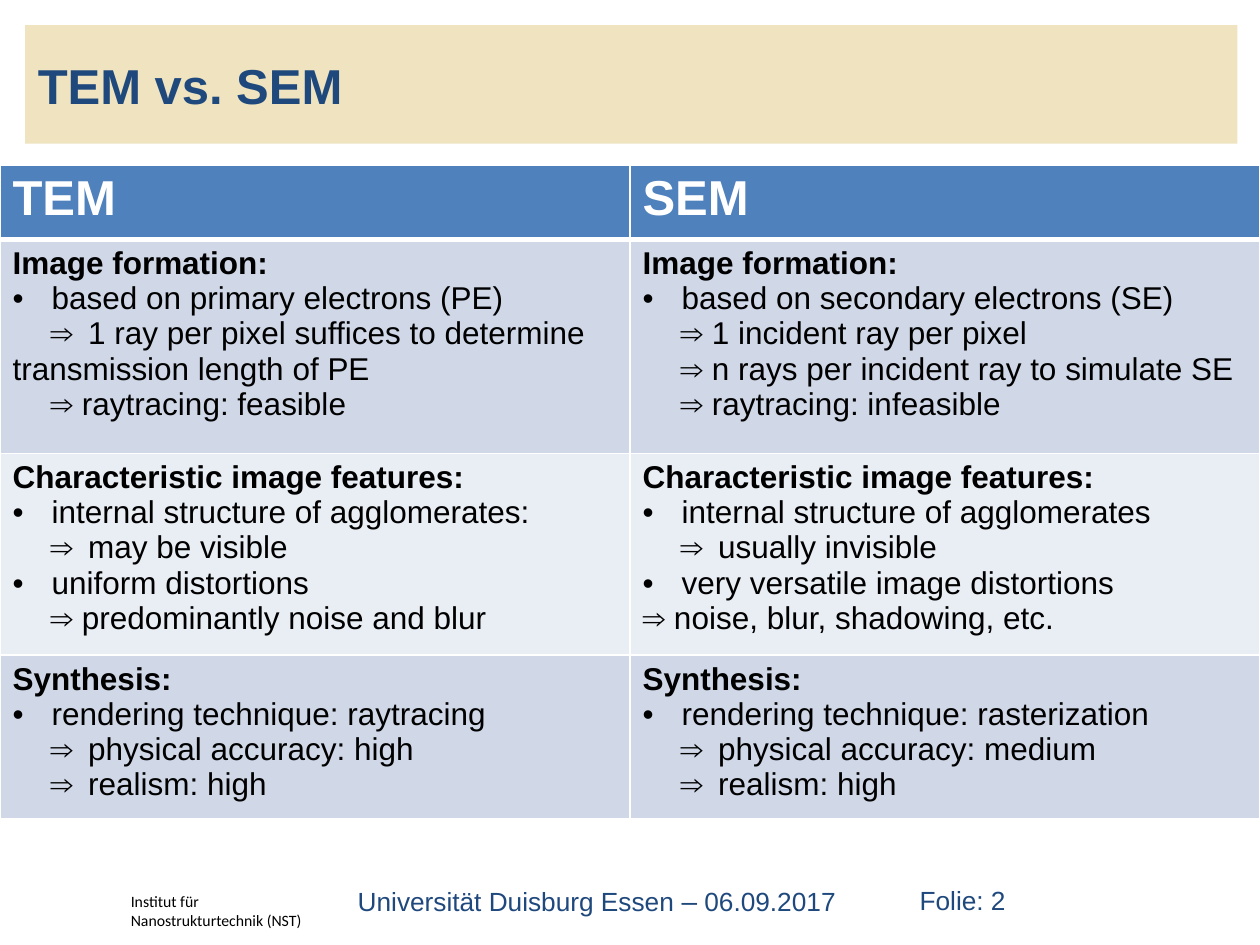
from lxml.etree import SubElement
from pptx import Presentation
from pptx.dml.color import RGBColor
from pptx.enum.shapes import MSO_SHAPE
from pptx.enum.text import MSO_ANCHOR, MSO_AUTO_SIZE, PP_ALIGN
from pptx.oxml.ns import qn
from pptx.util import Inches, Pt

NAVY = "1F497D"
WHITE = "FFFFFF"
FILLS = ["4F81BD", "D0D8E8", "E9EDF4", "D0D8E8"]
ROWS = [0.59, 1.7, 1.5, 1.23]
TABS = [0.3, 0.6]

CELLS = [
    (["TEM"], ["SEM"]),
    (
        [
            "Image formation:",
            "• based on primary electrons (PE)",
            "\t⇒\t1 ray per pixel suffices to determine transmission length of PE",
            "\t⇒ raytracing: feasible",
        ],
        [
            "Image formation:",
            "• based on secondary electrons (SE)",
            "\t⇒ 1 incident ray per pixel",
            "\t⇒ n rays per incident ray to simulate SE",
            "\t⇒ raytracing: infeasible",
        ],
    ),
    (
        [
            "Characteristic image features:",
            "• internal structure of agglomerates:",
            "\t⇒\tmay be visible",
            "• uniform distortions",
            "\t⇒ predominantly noise and blur",
        ],
        [
            "Characteristic image features:",
            "• internal structure of agglomerates",
            "\t⇒\tusually invisible",
            "• very versatile image distortions",
            "⇒ noise, blur, shadowing, etc.",
        ],
    ),
    (
        [
            "Synthesis:",
            "• rendering technique: raytracing",
            "\t⇒\tphysical accuracy: high",
            "\t⇒\trealism: high",
        ],
        [
            "Synthesis:",
            "• rendering technique: rasterization",
            "\t⇒\tphysical accuracy: medium",
            "\t⇒\trealism: high",
        ],
    ),
]


def paint(item, color):
    item.solid()
    item.fore_color.rgb = RGBColor.from_string(color)


def write(para, text, size=18, color="000000", bold=False, font="Arial", align=PP_ALIGN.LEFT):
    para.alignment = align
    run = para.add_run()
    run.text = text
    run.font.size = Pt(size)
    run.font.bold = bold
    run.font.name = font
    run.font.color.rgb = RGBColor.from_string(color)


def add_band(slide):
    band = slide.shapes.add_shape(
        MSO_SHAPE.RECTANGLE, Inches(0.2), Inches(0.2), Inches(9.62), Inches(0.94)
    )
    band.shadow.inherit = False
    paint(band.fill, "EFE4BF")
    band.line.fill.background()
    slide.shapes._spTree.insert(2, band._element)


def add_title(slide, text):
    title = slide.shapes.title
    title.left, title.top = Inches(0.2), Inches(0.2)
    title.width, title.height = Inches(7.4), Inches(0.94)
    frame = title.text_frame
    frame.auto_size = MSO_AUTO_SIZE.NONE
    frame.vertical_anchor = MSO_ANCHOR.MIDDLE
    write(frame.paragraphs[0], text, size=28, color=NAVY, bold=True)


def add_box(slide, left, top, width, height, wrap=True, anchor=MSO_ANCHOR.TOP):
    box = slide.shapes.add_textbox(Inches(left), Inches(top), Inches(width), Inches(height))
    frame = box.text_frame
    frame.word_wrap = wrap
    frame.vertical_anchor = anchor
    return frame.paragraphs[0]


def add_edge(cell, side, place, width):
    props = cell._tc.get_or_add_tcPr()
    line = SubElement(props, qn(f"a:ln{side}"), w=str(Pt(width)))
    fill = SubElement(line, qn("a:solidFill"))
    SubElement(fill, qn("a:srgbClr"), val=WHITE)
    props.insert(place, line)


def set_bullet(para):
    props = para._p.get_or_add_pPr()
    props.set("marL", str(Inches(0.31)))
    props.set("indent", str(-Inches(0.31)))
    SubElement(props, qn("a:buFont"), typeface="Arial")
    SubElement(props, qn("a:buChar"), char="•")


def set_tabs(para):
    stops = SubElement(para._p.get_or_add_pPr(), qn("a:tabLst"))
    for stop in TABS:
        SubElement(stops, qn("a:tab"), pos=str(Inches(stop)), algn="l")


def fill_cell(cell, lines, row):
    paint(cell.fill, FILLS[row])
    edges = {"L": 1, "R": 1, "T": 3 if row == 1 else 1, "B": 3 if row == 0 else 1}
    for place, (side, width) in enumerate(edges.items()):
        add_edge(cell, side, place, width)
    frame = cell.text_frame
    for index, line in enumerate(lines):
        para = frame.add_paragraph() if index else frame.paragraphs[0]
        if row == 0:
            write(para, line, size=28, color=WHITE, bold=True)
            continue
        write(para, line.removeprefix("• "), bold=index == 0)
        if line.startswith("•"):
            set_bullet(para)
        elif "\t" in line:
            set_tabs(para)


def add_grid(slide):
    grid = slide.shapes.add_table(
        len(ROWS), 2, Inches(0), Inches(1.31), Inches(10), Inches(sum(ROWS))
    ).table
    grid.horz_banding = False
    for row, pair in enumerate(CELLS):
        grid.rows[row].height = Inches(ROWS[row])
        for col, lines in enumerate(pair):
            fill_cell(grid.cell(row, col), lines, row)


def add_footer(slide):
    para = add_box(slide, 0.94, 7.03, 1.8, 0.4)
    write(para, "Institut für Nanostrukturtechnik (NST)", size=9, font="Calibri")
    para = add_box(slide, 7.05, 6.97, 1.18, 0.35, wrap=False)
    write(para, "Folie: 2", size=15, color=NAVY, align=PP_ALIGN.CENTER)
    para = add_box(slide, 2.48, 6.97, 4.57, 0.35, anchor=MSO_ANCHOR.MIDDLE)
    for text, size in [("Universität Duisburg Essen ", 15), ("–", 16), (" 06.09.2017 ", 15)]:
        write(para, text, size=size, color=NAVY, align=PP_ALIGN.CENTER)


def main():
    deck = Presentation()
    deck.slide_width, deck.slide_height = Inches(10), Inches(7.5)
    slide = deck.slides.add_slide(deck.slide_layouts[5])
    add_band(slide)
    add_title(slide, "TEM vs. SEM")
    add_footer(slide)
    add_grid(slide)
    deck.save("out.pptx")


if __name__ == "__main__":
    main()
